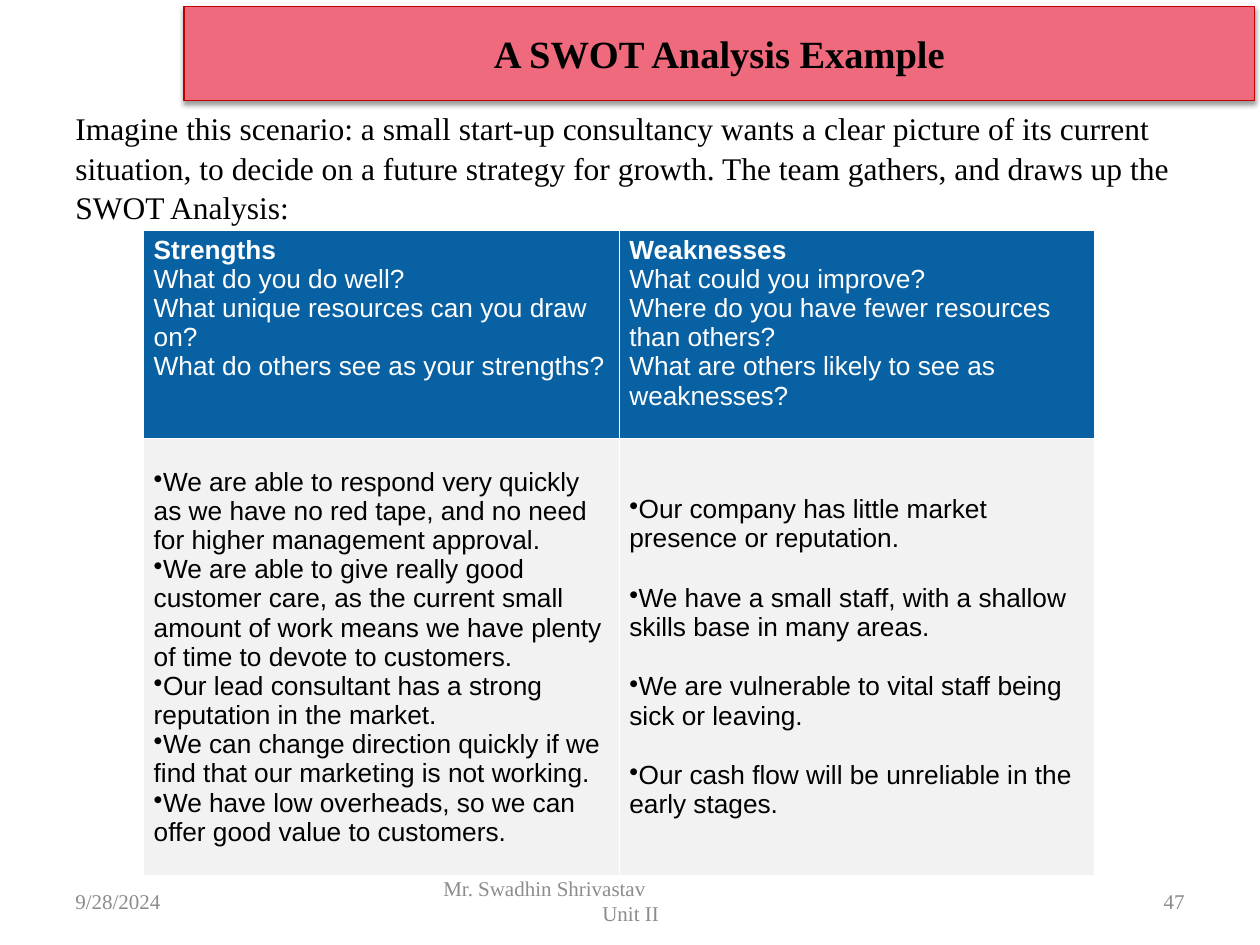
from lxml import etree
from pptx import Presentation
from pptx.dml.color import RGBColor
from pptx.enum.shapes import MSO_SHAPE
from pptx.enum.text import MSO_ANCHOR, PP_ALIGN
from pptx.oxml.ns import qn
from pptx.util import Inches, Pt

LEFT, CENTER, RIGHT = PP_ALIGN.LEFT, PP_ALIGN.CENTER, PP_ALIGN.RIGHT
TOP, MIDDLE = MSO_ANCHOR.TOP, MSO_ANCHOR.MIDDLE
RECTANGLE = MSO_SHAPE.RECTANGLE
SERIF, SANS = "Times New Roman", "Arial"
BLACK, WHITE, GREY = "000000", "FFFFFF", "8C8C8C"
RED, PINK, BLUE, PALE = "C00000", "F06A7D", "0861A2", "F2F2F2"

INTRO = ("Imagine this scenario: a small start-up consultancy wants a clear picture of its "
         "current situation, to decide on a future strategy for growth. The team gathers, "
         "and draws up the SWOT Analysis:")
QUESTIONS = [
    ["Strengths", "What do you do well?", "What unique resources can you draw on?",
     "What do others see as your strengths?"],
    ["Weaknesses", "What could you improve?",
     "Where do you have fewer resources than others?",
     "What are others likely to see as weaknesses?"],
]
ANSWERS = [
    ["We are able to respond very quickly as we have no red tape, and no need for higher "
     "management approval.",
     "We are able to give really good customer care, as the current small amount of work "
     "means we have plenty of time to devote to customers.",
     "Our lead consultant has a strong reputation in the market.",
     "We can change direction quickly if we find that our marketing is not working.",
     "We have low overheads, so we can offer good value to customers."],
    ["Our company has little market presence or reputation.",
     "We have a small staff, with a shallow skills base in many areas.",
     "We are vulnerable to vital staff being sick or leaving.",
     "Our cash flow will be unreliable in the early stages."],
]
ANSWER_GAPS = [0, 17.25]


def color(value):
    return RGBColor.from_string(value)


def add_child(parent, tag, **attributes):
    return etree.SubElement(parent, qn(tag), attributes)


def add_solid_fill(parent, value):
    fill = add_child(parent, "a:solidFill")
    return add_child(fill, "a:srgbClr", val=value)


def write(frame, lines, size, font, ink, align=LEFT, bold=False):
    """Put each line in its own paragraph and return the paragraphs."""
    frame.text = "\n".join(lines)
    for para in frame.paragraphs:
        para.alignment = align
        for span in para.runs:
            span.font.size = Pt(size)
            span.font.name = font
            span.font.bold = bold
            span.font.color.rgb = color(ink)
    return frame.paragraphs


def add_text(page, box, lines, size, ink, align=LEFT, anchor=MIDDLE):
    frame = page.shapes.add_textbox(*map(Inches, box)).text_frame
    frame.word_wrap = True
    frame.vertical_anchor = anchor
    return write(frame, lines, size, SERIF, ink, align)


def add_title(page, box):
    banner = page.shapes.add_shape(RECTANGLE, *map(Inches, box))
    banner.fill.solid()
    banner.fill.fore_color.rgb = color(PINK)
    banner.line.color.rgb = color(RED)
    banner.line.width = Pt(0.75)
    banner.shadow.inherit = False
    effects = banner._element.spPr.find(qn("a:effectLst"))
    shadow = add_child(effects, "a:outerShdw", blurRad=str(Pt(3.1)), dist=str(Pt(1.6)),
                       dir="5400000", rotWithShape="0")
    tint = add_child(shadow, "a:srgbClr", val=BLACK)
    add_child(tint, "a:alpha", val="38000")
    banner.text_frame.vertical_anchor = MIDDLE
    write(banner.text_frame, ["A SWOT Analysis Example"], 22, SERIF, BLACK, CENTER, True)


def style_cell(cell, fill, anchor):
    cell.margin_left = cell.margin_right = Inches(0.08)
    cell.margin_top = cell.margin_bottom = Inches(0.04)
    cell.vertical_anchor = anchor
    properties = cell._tc.get_or_add_tcPr()
    for side in ("a:lnL", "a:lnR", "a:lnT", "a:lnB"):
        add_solid_fill(add_child(properties, side, w=str(Pt(0.6))), WHITE)
    cell.fill.solid()
    cell.fill.fore_color.rgb = color(fill)


def add_bullet(para):
    properties = para._p.get_or_add_pPr()
    properties.set("marL", "0")
    properties.set("indent", "0")
    add_child(properties, "a:buChar", char="•")


def add_swot_table(page, box, row_heights):
    table = page.shapes.add_table(2, 2, *map(Inches, box)).table
    for row, height in zip(table.rows, row_heights):
        row.height = Inches(height)
    for index, (questions, answers) in enumerate(zip(QUESTIONS, ANSWERS)):
        table.columns[index].width = Inches(box[2] / 2)

        header = table.cell(0, index)
        style_cell(header, BLUE, TOP)
        heading = write(header.text_frame, questions, 15, SANS, WHITE)[0]
        heading.runs[0].font.bold = True

        body = table.cell(1, index)
        style_cell(body, PALE, MIDDLE)
        for number, para in enumerate(write(body.text_frame, answers, 15, SANS, BLACK)):
            if number:
                para.space_before = Pt(ANSWER_GAPS[index])
            add_bullet(para)


def add_footer(page, top, height):
    add_text(page, (0.5, top, 2.33, height), ["9/28/2024"], 12, GREY)
    author = add_text(page, (3.42, top, 3.17, height),
                      ["Mr. Swadhin Shrivastav", "Unit II"], 12, GREY, CENTER)
    author[0].alignment = LEFT
    add_text(page, (7.17, top, 2.33, height), ["47"], 12, GREY, RIGHT)


def main():
    deck = Presentation()
    deck.slide_width, deck.slide_height = Inches(10), Inches(7.5)
    page = deck.slides.add_slide(deck.slide_layouts[6])
    add_title(page, (1.46, 0.05, 8.5, 0.75))
    intro = add_text(page, (0.5, 0.8, 9, 1), [INTRO], 18, BLACK, anchor=TOP)
    intro[0].line_spacing = 1.05
    add_swot_table(page, (1.14, 1.83, 7.55, 5.12), (1.65, 3.47))
    add_footer(page, 6.95, 0.4)
    deck.save("out.pptx")


if __name__ == "__main__":
    main()
